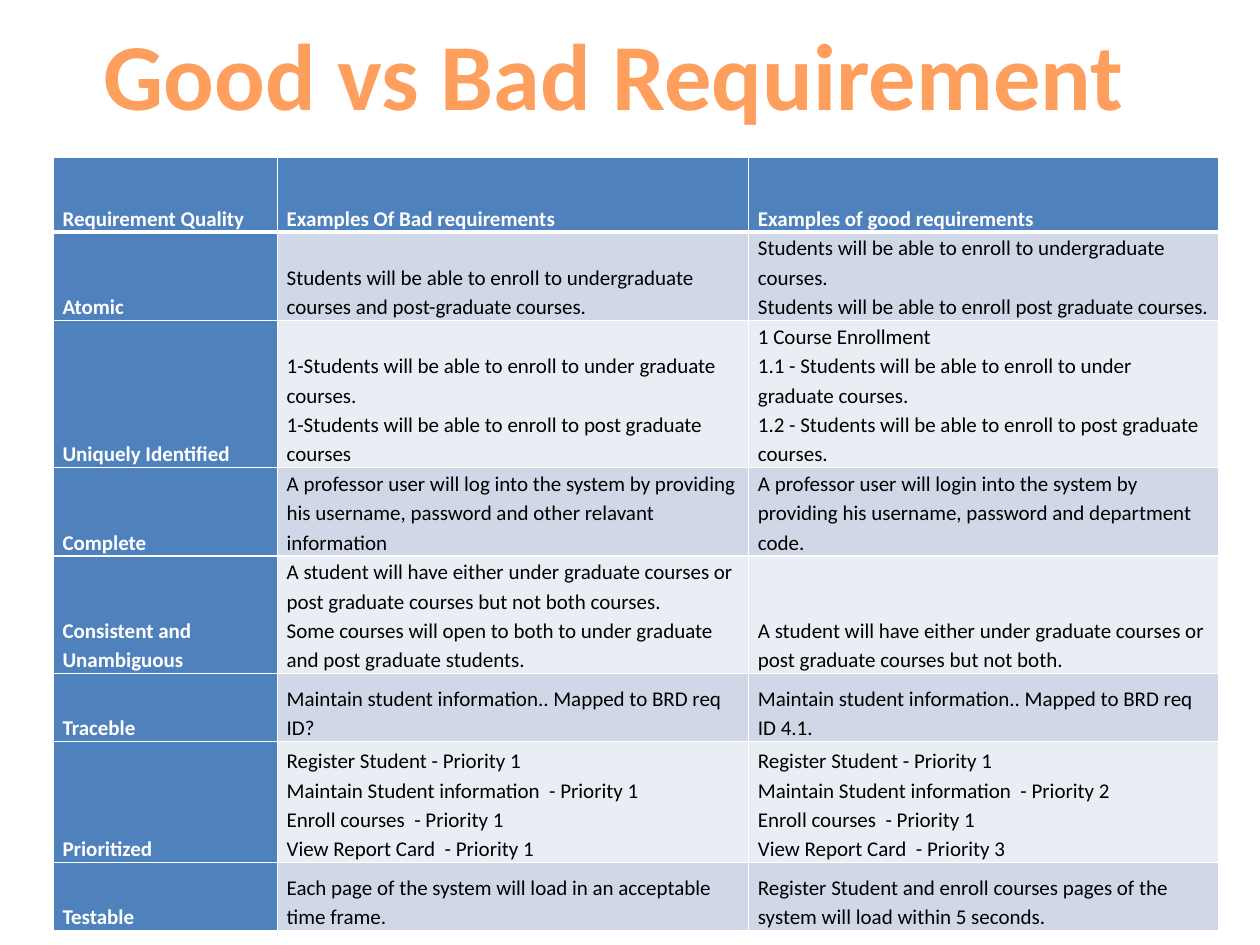
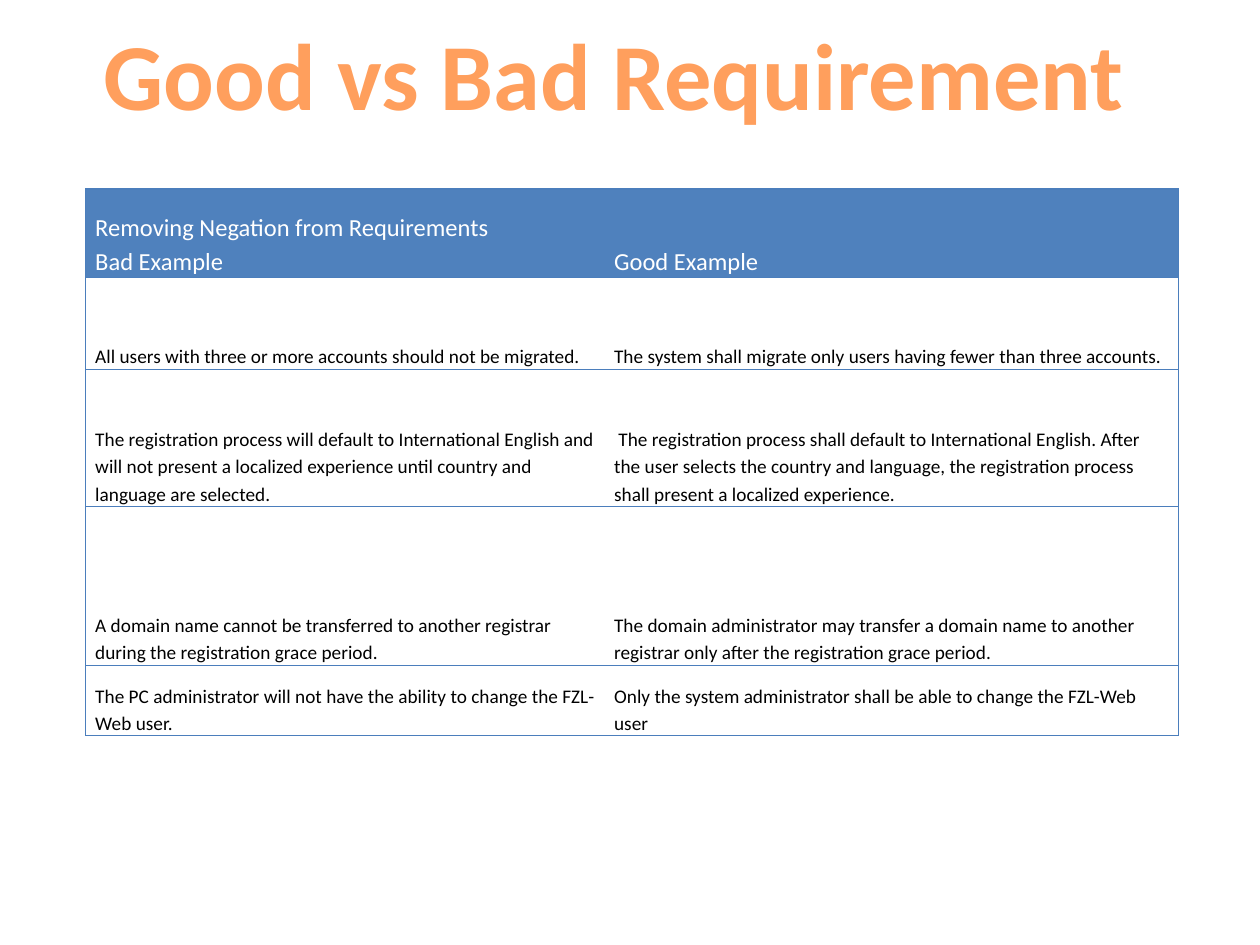
from dataclasses import dataclass

from lxml.etree import SubElement
from pptx import Presentation
from pptx.dml.color import RGBColor
from pptx.enum.text import MSO_ANCHOR, MSO_AUTO_SIZE, PP_ALIGN
from pptx.oxml.ns import qn
from pptx.slide import Slide
from pptx.table import _Cell
from pptx.text.text import _Paragraph
from pptx.util import Cm, Pt

COLORS = {
    "title": "FF9F5D",
    "header": "4F81BD",
    "outline": "4B7EBC",
    "odd band": "D0D8E8",
    "even band": "E9EDF4",
    "white": "FFFFFF",
    "black": "000000",
}
FONT = "Calibri"
TITLE = "Good vs Bad Requirement"
NO_STYLE_NO_GRID = "{2D5ABB26-0587-4C30-8999-92F81FD0307C}"
CELL_FORMAT = {
    "margin_left": Cm(0.19),
    "margin_right": Cm(0.19),
    "margin_top": Cm(0),
    "margin_bottom": Cm(0),
    "vertical_anchor": MSO_ANCHOR.BOTTOM,
}


@dataclass(frozen=True)
class CellStyle:
    """Look of one cell; borders map a side (L, R, T, B) to a width in points."""
    size: float
    color: str
    bold: bool
    fill: str | None
    border_color: str
    borders: dict[str, float]


@dataclass(frozen=True)
class RequirementTable:
    left: float
    top: float
    columns: tuple[float, ...]
    heights: tuple[float, ...]
    rows: tuple[tuple[str, ...], ...]


QUALITIES = RequirementTable(
    1.07, 3.18, (4.52, 9.5, 9.47),
    (1.5, 1.73, 2.9, 1.73, 2.31, 1.37, 2.44, 1.37),
    (
        ("Requirement Quality", "Examples Of Bad requirements",
         "Examples of good requirements"),
        ("Atomic",
         "Students will be able to enroll to undergraduate courses and "
         "post-graduate courses.",
         "Students will be able to enroll to undergraduate courses.\n"
         "Students will be able to enroll post graduate courses."),
        ("Uniquely Identified",
         "1-Students will be able to enroll to under graduate courses.\n"
         "1-Students will be able to enroll to post graduate courses",
         "1 Course Enrollment\n"
         "1.1 - Students will be able to enroll to under graduate courses.\n"
         "1.2 - Students will be able to enroll to post graduate courses."),
        ("Complete",
         "A professor user will log into the system by providing his username, "
         "password and other relavant information",
         "A professor user will login into the system by providing his username, "
         "password and department code."),
        ("Consistent and Unambiguous",
         "A student will have either under graduate courses or post graduate "
         "courses but not both courses.\n"
         "Some courses will open to both to under graduate and post graduate "
         "students.",
         "A student will have either under graduate courses or post graduate "
         "courses but not both."),
        ("Traceble",
         "Maintain student information.. Mapped to BRD req ID?",
         "Maintain student information.. Mapped to BRD req ID 4.1."),
        ("Prioritized",
         "Register Student - Priority 1\n"
         "Maintain Student information  - Priority 1\n"
         "Enroll courses  - Priority 1\n"
         "View Report Card  - Priority 1",
         "Register Student - Priority 1\n"
         "Maintain Student information  - Priority 2\n"
         "Enroll courses  - Priority 1\n"
         "View Report Card  - Priority 3"),
        ("Testable",
         "Each page of the system will load in an acceptable time frame.",
         "Register Student and enroll courses pages of the system will load "
         "within 5 seconds."),
    ),
)

NEGATIONS = RequirementTable(
    1.73, 3.81, (10.46, 11.56), (1.78, 1.85, 2.77, 3.2, 1.42),
    (
        ("Removing Negation from Requirements\nBad Example", "Good Example"),
        ("All users with three or more accounts should not be migrated.",
         "The system shall migrate only users having fewer than three accounts."),
        ("The registration process will default to International English and "
         "will not present a localized experience until country and language "
         "are selected.",
         " The registration process shall default to International English. "
         "After the user selects the country and language, the registration "
         "process shall present a localized experience."),
        ("A domain name cannot be transferred to another registrar during the "
         "registration grace period.",
         "The domain administrator may transfer a domain name to another "
         "registrar only after the registration grace period."),
        ("The PC administrator will not have the ability to change the FZL-Web "
         "user.",
         "Only the system administrator shall be able to change the FZL-Web user"),
    ),
)


def quality_style(row: int, column: int) -> CellStyle:
    """Banded grid with a solid header row and first column."""
    heading = row == 0 or column == 0
    band = "odd band" if row % 2 else "even band"
    borders = {"L": 1, "R": 1, "T": 3 if row == 1 else 1, "B": 3 if row == 0 else 1}
    return CellStyle(12, "white" if heading else "black", heading,
                     "header" if heading else band, "white", borders)


def negation_style(row: int, column: int) -> CellStyle:
    """Outlined rows without inner vertical lines."""
    borders = {"L" if column == 0 else "R": 0.75, "T": 0.75, "B": 0.75}
    if row == 0:
        return CellStyle(14, "white", False, "header", "outline", borders)
    return CellStyle(11, "black", False, None, "outline", borders)


def format_text(paragraph: _Paragraph, size: float, color: str, bold: bool) -> None:
    font_format = {"name": FONT, "size": Pt(size), "bold": bold}
    for run in paragraph.runs:
        for name, value in font_format.items():
            setattr(run.font, name, value)
        run.font.color.rgb = RGBColor.from_string(COLORS[color])


def add_borders(cell: _Cell, style: CellStyle) -> None:
    properties = cell._tc.get_or_add_tcPr()
    sides = [side for side in "LRTB" if side in style.borders]
    for position, side in enumerate(sides):
        width = Pt(style.borders[side])
        line = SubElement(properties, qn(f"a:ln{side}"), w=str(int(width)))
        fill = SubElement(line, qn("a:solidFill"))
        SubElement(fill, qn("a:srgbClr"), val=COLORS[style.border_color])
        properties.insert(position, line)  # borders come before the fill


def fill_cell(cell: _Cell, text: str, style: CellStyle) -> None:
    for name, value in CELL_FORMAT.items():
        setattr(cell, name, value)
    cell.text_frame.text = text
    for paragraph in cell.text_frame.paragraphs:
        paragraph.line_spacing = 1.15
        format_text(paragraph, style.size, style.color, style.bold)
    if style.fill:
        cell.fill.solid()
        cell.fill.fore_color.rgb = RGBColor.from_string(COLORS[style.fill])
    else:
        cell.fill.background()
    add_borders(cell, style)


def add_title(slide: Slide) -> None:
    shape = slide.shapes.add_textbox(Cm(1.73), Cm(0.2), Cm(21.29), Cm(2.57))
    frame = shape.text_frame
    frame.text = TITLE
    frame.word_wrap = False
    frame.auto_size = MSO_AUTO_SIZE.SHAPE_TO_FIT_TEXT
    paragraph = frame.paragraphs[0]
    paragraph.alignment = PP_ALIGN.CENTER
    format_text(paragraph, 54, "title", True)


def add_requirement_table(slide: Slide, content: RequirementTable, style_of) -> None:
    shape = slide.shapes.add_table(
        len(content.rows), len(content.columns), Cm(content.left), Cm(content.top),
        Cm(sum(content.columns)), Cm(sum(content.heights)))
    table = shape.table
    table.horz_banding = False
    table._tbl.tblPr.find(qn("a:tableStyleId")).text = NO_STYLE_NO_GRID
    for column, width in zip(table.columns, content.columns):
        column.width = Cm(width)
    for row, height in zip(table.rows, content.heights):
        row.height = Cm(height)
    for row_index, texts in enumerate(content.rows):
        for column_index, text in enumerate(texts):
            fill_cell(table.cell(row_index, column_index), text,
                      style_of(row_index, column_index))


def main() -> None:
    presentation = Presentation()
    presentation.slide_width = Cm(25.4)
    presentation.slide_height = Cm(19.05)
    blank_layout = presentation.slide_layouts[6]
    for content, style_of in ((QUALITIES, quality_style), (NEGATIONS, negation_style)):
        slide = presentation.slides.add_slide(blank_layout)
        add_requirement_table(slide, content, style_of)
        add_title(slide)
    presentation.save("out.pptx")


if __name__ == "__main__":
    main()
